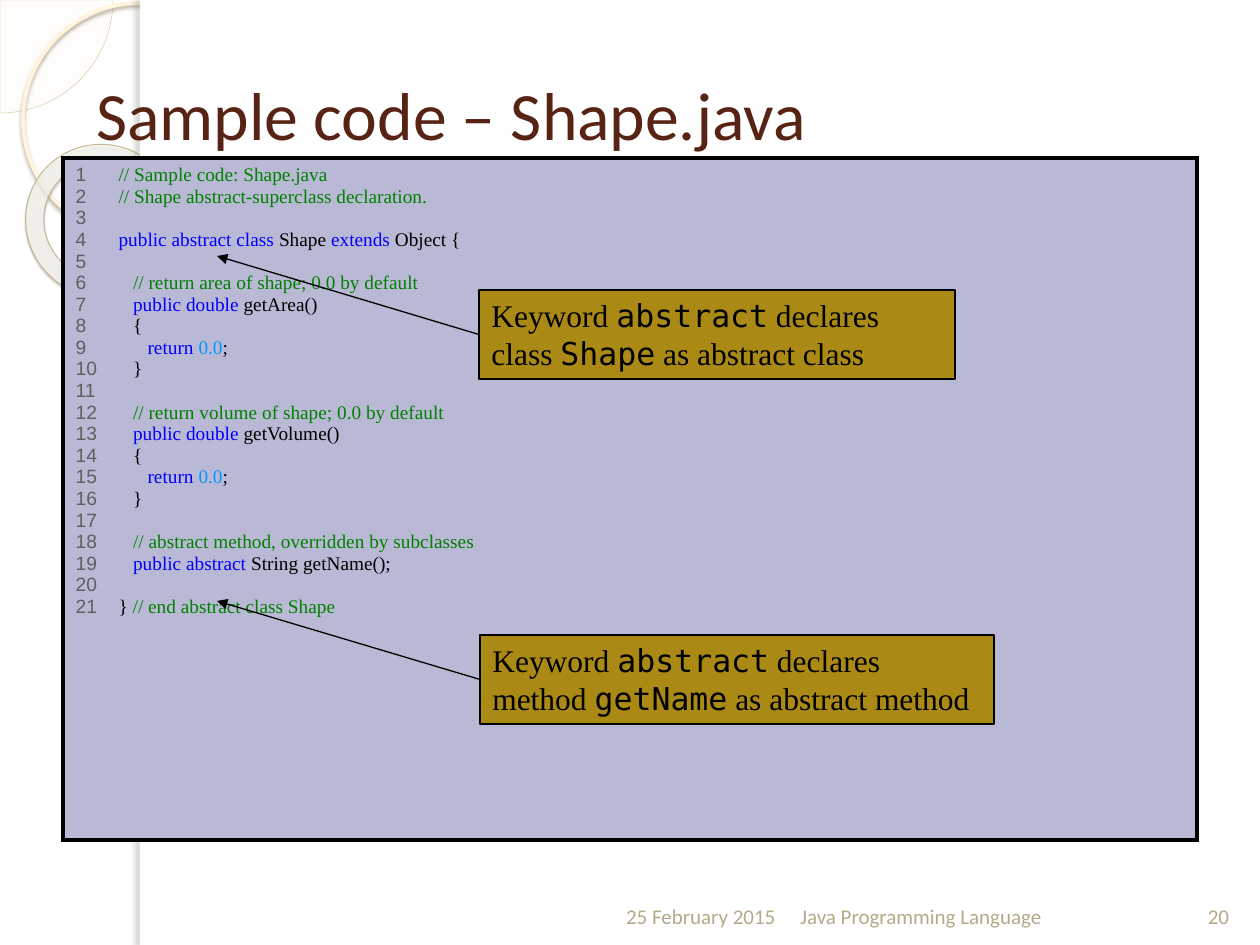
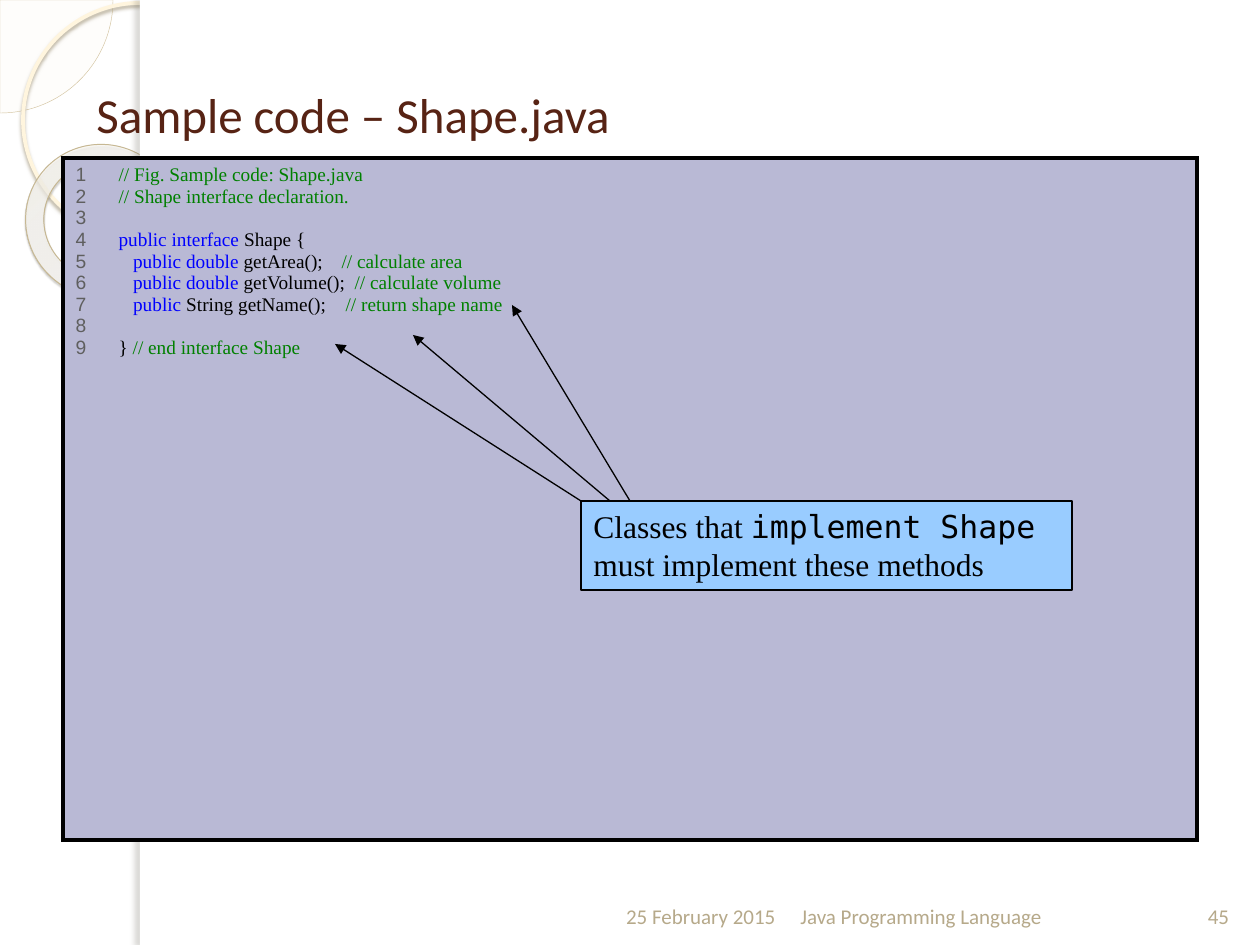
from dataclasses import dataclass, field
from itertools import groupby

from lxml.etree import SubElement
from pptx import Presentation
from pptx.dml.color import RGBColor
from pptx.enum.shapes import MSO_CONNECTOR, MSO_SHAPE
from pptx.enum.text import MSO_ANCHOR, PP_ALIGN
from pptx.oxml import parse_xml
from pptx.oxml.ns import nsdecls, qn
from pptx.shapes.autoshape import Shape
from pptx.slide import Slide
from pptx.text.text import _Paragraph as Paragraph
from pptx.util import Emu, Pt

EMU_PER_PX = 914400 / 126
SLIDE_WIDTH, SLIDE_HEIGHT = 1260, 945

WHITE = RGBColor(0xFF, 0xFF, 0xFF)
BLACK = RGBColor(0x00, 0x00, 0x00)
TITLE_BROWN = RGBColor(0x57, 0x23, 0x14)
FOOTER_TAN = RGBColor(0xB6, 0xA9, 0x8A)
CODE_FILL = RGBColor(0xB9, 0xB9, 0xD5)
NUMBER_GREY = RGBColor(0x5F, 0x5F, 0x5F)
COMMENT_GREEN = RGBColor(0x00, 0x80, 0x00)
KEYWORD_BLUE = RGBColor(0x00, 0x00, 0xFF)
LITERAL_BLUE = RGBColor(0x00, 0x99, 0xFF)
CALLOUT_GOLD = RGBColor(0xAA, 0x8A, 0x14)
CALLOUT_BLUE = RGBColor(0x99, 0xCC, 0xFF)
PIE_CREAM = RGBColor(0xFE, 0xFA, 0xF4)
PIE_LINE = RGBColor(0xD3, 0xC3, 0x9F)
RING_CREAM = RGBColor(0xFF, 0xF5, 0xDE)
RING_SHADOW = RGBColor(0xB0, 0xA6, 0x8F)
DONUT_LINE = RGBColor(0xC7, 0xB8, 0x93)
DONUT_SHADOW = RGBColor(0x5A, 0x54, 0x44)
DONUT_STOPS = ((0, "FFFCF6", 70), (70, "FFFEFB", 55), (100, "F0D28E", 60))
BAND_SHADOW = RGBColor(0x73, 0x6F, 0x63)

THEME_FONT, NUMBER_FONT = "Calibri", "Arial"
SERIF_FONT, MONO_FONT = "Times New Roman", "DejaVu Sans Mono"
KEYWORDS = {"public", "abstract", "class", "extends", "double", "return", "interface"}
CODE_LEFT = 43
INDENT_STEP = 29 / 6


@dataclass(frozen=True)
class Box:
    left: int
    top: int
    width: int
    height: int

    def emu(self) -> tuple[Emu, ...]:
        return tuple(px(n) for n in (self.left, self.top, self.width, self.height))


@dataclass(frozen=True)
class Shadow:
    color: RGBColor
    opacity: int
    blur: float
    distance: float
    direction: int


@dataclass(frozen=True)
class Arrow:
    """Without a start, the arrow leaves the middle of the callout's left side."""
    tip: tuple[int, int]
    start: tuple[int, int] | None = None


@dataclass(frozen=True)
class Callout:
    """Words between backticks are set in the fixed-width font."""
    box: Box
    fill: RGBColor
    text: str
    arrows: list[Arrow]


@dataclass(frozen=True)
class CodeSlide:
    number: int
    title_size: float
    code: str
    callouts: list[Callout]
    comment_stops: dict[int, int] = field(default_factory=dict)


TITLE_BOX = Box(84, 69, 863, 89)
CODE_BOX = Box(63, 158, 1134, 682)
DATE_BOX = Box(494, 869, 294, 66)
COURSE_BOX = Box(788, 869, 399, 66)
NUMBER_BOX = Box(1187, 869, 63, 66)

ABSTRACT_CODE = """// Sample code: Shape.java
// Shape abstract-superclass declaration.

public abstract class Shape extends Object {

   // return area of shape; 0.0 by default
   public double getArea()
   {
      return 0.0;
   }

   // return volume of shape; 0.0 by default
   public double getVolume()
   {
      return 0.0;
   }

   // abstract method, overridden by subclasses
   public abstract String getName();

} // end abstract class Shape"""

INTERFACE_CODE = """// Fig. Sample code: Shape.java
// Shape interface declaration.

public interface Shape {
   public double getArea();\t// calculate area
   public double getVolume();\t// calculate volume
   public String getName();\t// return shape name

} // end interface Shape"""

CODE_SLIDES = [
    CodeSlide(20, 38.7, ABSTRACT_CODE, [
        Callout(Box(479, 290, 476, 89), CALLOUT_GOLD,
                "Keyword `abstract` declares class `Shape` as abstract class",
                [Arrow((217, 256))]),
        Callout(Box(480, 635, 514, 89), CALLOUT_GOLD,
                "Keyword `abstract` declares method `getName` as abstract method",
                [Arrow((217, 601))]),
    ]),
    CodeSlide(45, 28, INTERFACE_CODE, [
        Callout(Box(581, 501, 491, 89), CALLOUT_BLUE,
                "Classes that `implement Shape` must implement these methods",
                [Arrow((413, 335), (610, 501)), Arrow((335, 344), (581, 501)),
                 Arrow((512, 305), (630, 501))]),
    ], {5: 266, 6: 279, 7: 270}),
]


def px(length: float) -> Emu:
    return Emu(round(length * EMU_PER_PX))


def add_run(paragraph: Paragraph, text: str, font: str, size: float, color: RGBColor) -> None:
    run = paragraph.add_run()
    run.text = text
    run.font.name = font
    run.font.size = Pt(size)
    run.font.color.rgb = color


def add_label(slide: Slide, box: Box, text: str, size: float, color: RGBColor,
              anchor: MSO_ANCHOR, alignment: PP_ALIGN = PP_ALIGN.LEFT) -> None:
    frame = slide.shapes.add_textbox(*box.emu()).text_frame
    frame.word_wrap = True
    frame.vertical_anchor = anchor
    paragraph = frame.paragraphs[0]
    paragraph.alignment = alignment
    add_run(paragraph, text, THEME_FONT, size, color)


def add_figure(slide: Slide, kind: MSO_SHAPE, box: Box, fill: RGBColor | None,
               line: RGBColor | None = None, line_width: float = 0,
               shadow: Shadow | None = None) -> Shape:
    shape = slide.shapes.add_shape(kind, *box.emu())
    shape.shadow.inherit = False
    if fill is None:
        shape.fill.background()
    else:
        shape.fill.solid()
        shape.fill.fore_color.rgb = fill
    if line is None:
        shape.line.fill.background()
    else:
        shape.line.color.rgb = line
        shape.line.width = Pt(line_width)
    if shadow:
        outer = SubElement(
            shape.element.spPr.find(qn("a:effectLst")), qn("a:outerShdw"),
            blurRad=str(Pt(shadow.blur)), dist=str(Pt(shadow.distance)),
            dir=str(shadow.direction * 60000), algn="tl", rotWithShape="0")
        color = SubElement(outer, qn("a:srgbClr"), val=str(shadow.color))
        SubElement(color, qn("a:alpha"), val=str(shadow.opacity * 1000))
    return shape


def add_side_decoration(slide: Slide) -> None:
    pie = add_figure(slide, MSO_SHAPE.PIE, Box(-113, -113, 226, 226),
                     PIE_CREAM, PIE_LINE, 0.25)
    pie.adjustments[0], pie.adjustments[1] = 0, 54.02
    pie_color = pie.element.spPr.find(qn("a:solidFill")).find(qn("a:srgbClr"))
    SubElement(pie_color, qn("a:alpha"), val="33000")

    add_figure(slide, MSO_SHAPE.OVAL, Box(23, 3, 234, 234), None, RING_CREAM, 2.15,
               Shadow(RING_SHADOW, 85, 2, 2, 90))

    donut = add_figure(slide, MSO_SHAPE.DONUT, Box(25, 145, 155, 152), WHITE,
                       DONUT_LINE, 0.58, Shadow(DONUT_SHADOW, 35, 1, 1.2, 75))
    donut.adjustments[0] = 0.12
    donut.rotation = 38.6
    stops = "".join(
        f'<a:gs pos="{position * 1000}"><a:srgbClr val="{color}">'
        f'<a:alpha val="{opacity * 1000}"/></a:srgbClr></a:gs>'
        for position, color, opacity in DONUT_STOPS)
    gradient = parse_xml(
        f'<a:gradFill {nsdecls("a")} rotWithShape="1"><a:gsLst>{stops}</a:gsLst>'
        '<a:path path="circle"><a:fillToRect l="-408000" t="-50000" r="508000" '
        'b="150000"/></a:path></a:gradFill>')
    properties = donut.element.spPr
    properties.replace(properties.find(qn("a:solidFill")), gradient)

    add_figure(slide, MSO_SHAPE.RECTANGLE, Box(140, 0, 1120, SLIDE_HEIGHT), WHITE)
    add_figure(slide, MSO_SHAPE.RECTANGLE, Box(140, 0, 10, SLIDE_HEIGHT), WHITE,
               shadow=Shadow(BAND_SHADOW, 25, 3, 3, 180))


def colored_code(text: str) -> list[tuple[RGBColor, str]]:
    """Split a line of Java into stretches of one colour."""
    code, slashes, comment = text.partition("//")
    pieces: list[tuple[RGBColor, str]] = []
    for word in code.replace(" ", " \n").split("\n"):
        core = word.rstrip("; \t")
        color = (KEYWORD_BLUE if core in KEYWORDS
                 else LITERAL_BLUE if core == "0.0" else BLACK)
        ending = word[len(core):]
        pieces += [(color, core), (BLACK if ";" in ending else color, ending)]
    pieces.append((COMMENT_GREEN, slashes + comment))
    filled = [piece for piece in pieces if piece[1]]
    return [(color, "".join(part for _, part in group))
            for color, group in groupby(filled, key=lambda piece: piece[0])]


def write_code_line(paragraph: Paragraph, number: int, line: str,
                    comment_stop: int | None) -> None:
    code = line.lstrip()
    if not code:
        add_run(paragraph, str(number), NUMBER_FONT, 11, NUMBER_GREY)
        return
    stops = [CODE_LEFT + (len(line) - len(code)) * INDENT_STEP]
    if comment_stop:
        stops.append(comment_stop)
    tab_list = SubElement(paragraph._p.get_or_add_pPr(), qn("a:tabLst"))
    for stop in stops:
        SubElement(tab_list, qn("a:tab"), pos=str(px(stop)), algn="l")
    add_run(paragraph, f"{number}\t", NUMBER_FONT, 11, NUMBER_GREY)
    for color, text in colored_code(code):
        add_run(paragraph, text, SERIF_FONT, 11, color)


def add_code_table(slide: Slide, code: str, comment_stops: dict[int, int]) -> None:
    table = slide.shapes.add_table(1, 1, *CODE_BOX.emu()).table
    table.first_row = table.horz_banding = False
    cell = table.cell(0, 0)
    cell.fill.solid()
    cell.fill.fore_color.rgb = CODE_FILL
    for index, side in enumerate(("lnL", "lnR", "lnT", "lnB")):
        cell._tc.get_or_add_tcPr().insert(index, parse_xml(
            f'<a:{side} {nsdecls("a")} w="{Pt(2.25)}"><a:solidFill>'
            f'<a:srgbClr val="{BLACK}"/></a:solidFill></a:{side}>'))
    frame = cell.text_frame
    for number, line in enumerate(code.split("\n"), start=1):
        paragraph = frame.paragraphs[0] if number == 1 else frame.add_paragraph()
        write_code_line(paragraph, number, line, comment_stops.get(number))


def add_callout(slide: Slide, callout: Callout) -> None:
    shape = add_figure(slide, MSO_SHAPE.RECTANGLE, callout.box, callout.fill, BLACK, 0.75)
    frame = shape.text_frame
    frame.word_wrap = True
    frame.vertical_anchor = MSO_ANCHOR.TOP
    paragraph = frame.paragraphs[0]
    paragraph.alignment = PP_ALIGN.LEFT
    for index, text in enumerate(callout.text.split("`")):
        add_run(paragraph, text, MONO_FONT if index % 2 else SERIF_FONT, 18, BLACK)
    for arrow in callout.arrows:
        add_arrow(slide, arrow, shape)


def add_arrow(slide: Slide, arrow: Arrow, source: Shape) -> None:
    start = arrow.start or (0, 0)
    connector = slide.shapes.add_connector(
        MSO_CONNECTOR.STRAIGHT, *(px(n) for n in (*start, *arrow.tip)))
    if arrow.start is None:
        connector.begin_connect(source, 1)
    connector.line.color.rgb = BLACK
    connector.line.width = Pt(0.75)
    properties = connector.element.spPr
    SubElement(properties.find(qn("a:ln")), qn("a:tailEnd"), type="triangle")
    SubElement(properties, qn("a:effectLst"))


def add_code_slide(presentation: Presentation, content: CodeSlide) -> None:
    slide = presentation.slides.add_slide(presentation.slide_layouts[6])
    add_side_decoration(slide)
    add_label(slide, TITLE_BOX, "Sample code – Shape.java", content.title_size,
              TITLE_BROWN, MSO_ANCHOR.MIDDLE)
    for box, text, alignment in (
            (DATE_BOX, "25 February 2015", PP_ALIGN.RIGHT),
            (COURSE_BOX, "Java Programming Language", PP_ALIGN.LEFT),
            (NUMBER_BOX, str(content.number), PP_ALIGN.CENTER)):
        add_label(slide, box, text, 12, FOOTER_TAN, MSO_ANCHOR.BOTTOM, alignment)
    add_code_table(slide, content.code, content.comment_stops)
    for callout in content.callouts:
        add_callout(slide, callout)


def main() -> None:
    presentation = Presentation()
    presentation.slide_width, presentation.slide_height = px(SLIDE_WIDTH), px(SLIDE_HEIGHT)
    for content in CODE_SLIDES:
        add_code_slide(presentation, content)
    presentation.save("out.pptx")


if __name__ == "__main__":
    main()
